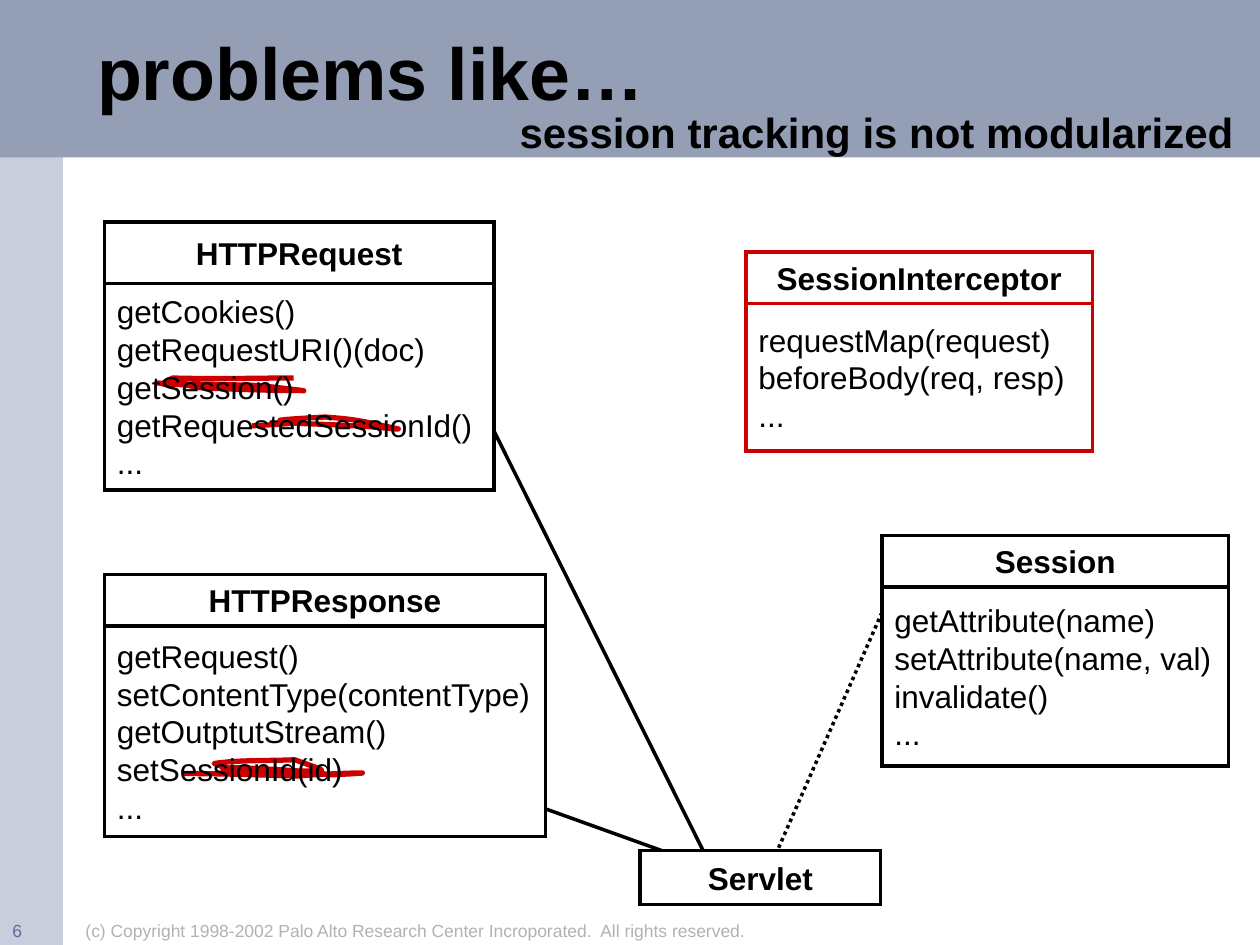
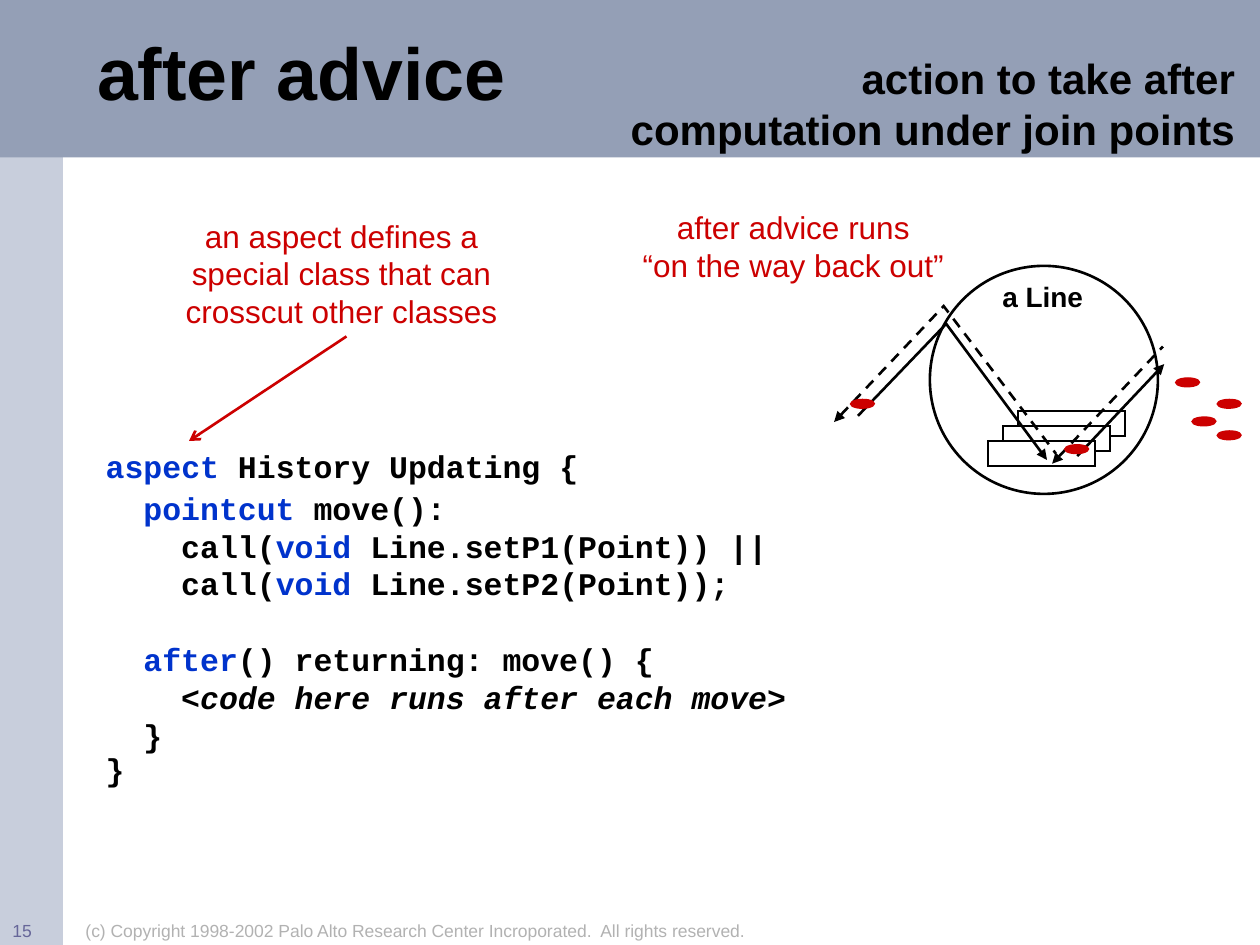
"""Build two slides on aspects: session tracking classes and after advice."""
from lxml import etree
from pptx import Presentation
from pptx.dml.color import RGBColor
from pptx.enum import dml, shapes, text
from pptx.oxml import ns
from pptx.util import Inches, Pt

COLORS = {"side": "C8CEDC", "top": "949FB6", "ink": "000000", "accent": "CC0000",
          "keyword": "0033CC", "paper": "FFFFFF", "footer": "B2B2B2", "number": "666699"}
LEFT, CENTER, RIGHT = text.PP_ALIGN.LEFT, text.PP_ALIGN.CENTER, text.PP_ALIGN.RIGHT
TOP, MIDDLE = text.MSO_ANCHOR.TOP, text.MSO_ANCHOR.MIDDLE
RECT, OVAL = shapes.MSO_SHAPE.RECTANGLE, shapes.MSO_SHAPE.OVAL
DASH, DOTS = dml.MSO_LINE.DASH, dml.MSO_LINE.ROUND_DOT

BANDS = [("side", (0, 0, 0.5, 7.5)), ("top", (0, 0, 10, 1.25))]
COPYRIGHT = "(c) Copyright 1998-2002 Palo Alto Research Center Incroporated.  All rights reserved."

# name, left, top, width, name height, members height, colour, members
CLASSES = [
    ("HTTPRequest", 0.83, 1.76, 3.09, 0.49, 1.64, "ink",
     ["getCookies()", "getRequestURI()(doc)", "getSession()\vgetRequestedSessionId()", "..."]),
    ("HTTPResponse", 0.83, 4.56, 3.5, 0.41, 1.67, "ink",
     ["getRequest()", "setContentType(contentType)",
      "getOutptutStream()\vsetSessionId(id)", "..."]),
    ("Servlet", 5.08, 6.75, 1.91, 0.43, 0, "ink", []),
    ("SessionInterceptor", 5.92, 2, 2.75, 0.41, 1.17, "accent",
     ["requestMap(request)", "beforeBody(req, resp)", "..."]),
    ("Session", 7, 4.25, 2.75, 0.41, 1.42, "ink",
     ["getAttribute(name)", "setAttribute(name, val)", "invalidate()", "..."]),
]
LINKS = [([(3.92, 3.42), (5.58, 6.75)], None),
         ([(7, 4.86), (6.17, 6.75)], DOTS),
         ([(4.33, 6.42), (5.25, 6.75)], None)]
# Each stroke: a start point, then three points per Bezier curve
STRIKES = [
    [(2, 3.38), (2.94, 3.33), (1.64, 3.36), (2.58, 3.31), (2.86, 3.33), (2.9, 3.35),
     (3.14, 3.4), (3.25, 3.42), (2.92, 3.38), (2.8, 3.38), (2.65, 3.37), (2.34, 3.36),
     (2.34, 3.36)],
    [(1.75, 6.12), (2.63, 6.1), (2.72, 6.17), (2.34, 6.03), (2.13, 6.04), (1.9, 6.03),
     (1.7, 6.06), (1.85, 6.12), (1.73, 6.08), (2.04, 6.1), (2.24, 6.11), (2.44, 6.12),
     (2.63, 6.15), (3.25, 6.12), (2.53, 6.14), (2.36, 6.16), (2.06, 6.15), (1.75, 6.14),
     (1.45, 6.14)],
    [(1.24, 3.04), (1.51, 3.05), (1.78, 3.05), (2.05, 3.06), (2.16, 3.07), (2.5, 3.11),
     (2.39, 3.1), (2.13, 3.1), (1.88, 3.09), (1.63, 3.08), (1.58, 3.08), (1.54, 3.07),
     (1.5, 3.06), (1.27, 3.03), (1.23, 3.08), (1.37, 3), (1.77, 3.01), (1.99, 3), (2.33, 3)],
]

# space before in points, then (text, style) spans
BODY_CODE = [
    (0, [("  pointcut", "keyword"), (" move():", "")]),
    (0, [("    call(", ""), ("void ", "keyword"), ("Line.setP1(Point)) ||", "")]),
    (0, [("    call(", ""), ("void ", "keyword"), ("Line.setP2(Point));", "")]),
    (21.6, [("  ", ""), ("after", "keyword"), ("() returning: move() {", "")]),
    (0, [("    ", ""), ("<code here runs after each move>", "italic")]),
    (0, [("  }", "")]),
]
ASPECT_CODE = [
    (0, [("aspect", "keyword"), (" History Updating {", "")]),
    (151.2, [("}", "")]),
]
# points, dash, arrow end
TRAILS = [([(6.62, 3.35), (7.49, 2.43), (8.38, 3.6)], DASH, "headEnd"),
          ([(6.81, 3.3), (7.51, 2.57), (8.31, 3.65)], None, "tailEnd"),
          ([(8.35, 3.68), (9.23, 2.75)], DASH, "headEnd"),
          ([(8.55, 3.62), (9.24, 2.89)], None, "tailEnd")]
DOTS_AT = [(6.81, 3.11), (8.51, 3.47), (9.52, 3.25), (9.72, 3.36), (9.39, 2.94), (9.72, 3.11)]


def rgb(name):
    return RGBColor.from_string(COLORS[name])


def style_para(para, size, color="ink", bold=False, align=LEFT, font="Arial"):
    para.alignment = align
    para.font.name, para.font.size, para.font.bold = font, Pt(size), bold
    para.font.color.rgb = rgb(color)


def write(frame, lines, size, wrap=True, anchor=TOP, **style):
    frame.word_wrap, frame.vertical_anchor = wrap, anchor
    frame.text = "\n".join(lines)
    for para in frame.paragraphs:
        style_para(para, size, **style)


def add_text(page, place, words, size, **style):
    box = page.shapes.add_textbox(*map(Inches, place))
    write(box.text_frame, [words], size, **style)


def add_to_line(shape, tag, **attributes):
    etree.SubElement(shape.element.spPr.find(ns.qn("a:ln")), ns.qn(tag), **attributes)


def add_box(page, kind, place, fill=None, line=None, width=1.0):
    box = page.shapes.add_shape(kind, *map(Inches, place))
    box.shadow.inherit = False
    if fill:
        box.fill.solid()
        box.fill.fore_color.rgb = rgb(fill)
    else:
        box.fill.background()
    if line:
        box.line.color.rgb, box.line.width = rgb(line), Pt(width)
        add_to_line(box, "a:miter", lim="800000")
    else:
        box.line.fill.background()
    return box


def add_path(page, points, width, color="ink", dash=None, arrow=None, end="tailEnd"):
    points = [(Inches(x), Inches(y)) for x, y in points]
    if len(points) == 2:
        path = page.shapes.add_connector(shapes.MSO_CONNECTOR.STRAIGHT, *points[0], *points[1])
    else:
        builder = page.shapes.build_freeform(*points[0])
        builder.add_line_segments(points[1:], close=False)
        path = builder.convert_to_shape()
        path.fill.background()
    path.line.color.rgb, path.line.width = rgb(color), Pt(width)
    if dash:
        path.line.dash_style = dash
    if arrow:
        add_to_line(path, "a:miter", lim="800000")
        add_to_line(path, "a:" + end, type=arrow)
    etree.SubElement(path.element.spPr, ns.qn("a:effectLst"))
    return path


def add_stroke(page, points):
    """Draw a path and turn every three of its segments into one Bezier curve."""
    stroke = add_path(page, points, 3, "accent")
    outline = next(stroke.element.iter(ns.qn("a:path")))
    segments = outline.findall(ns.qn("a:lnTo"))
    for i in range(0, len(segments), 3):
        bend = etree.SubElement(outline, ns.qn("a:cubicBezTo"))
        for segment in segments[i:i + 3]:
            bend.append(segment[0])
            outline.remove(segment)


def add_page(deck, title, subtitle, subtitle_place):
    page = deck.slides.add_slide(deck.slide_layouts[5])
    heading = page.shapes.title
    heading.left, heading.top, heading.width, heading.height = map(Inches, (0.67, 0.09, 8.83, 1.05))
    write(heading.text_frame, [title], 42, bold=True, anchor=MIDDLE)
    heading.text_frame.auto_size = text.MSO_AUTO_SIZE.NONE
    heading.text_frame.paragraphs[0].line_spacing = 0.85
    add_text(page, subtitle_place, subtitle, 24, bold=True, align=RIGHT)
    return page


def add_footer(page, number):
    add_text(page, (0.58, 7.25, 5.58, 0.25), COPYRIGHT, 10, color="footer")
    add_text(page, (0, 7.25, 0.5, 0.25), str(number), 10, color="number")


def move_bands_to_master(deck, page):
    for position, (fill, place) in enumerate(BANDS, start=2):
        band = add_box(page, RECT, place, fill)
        deck.slide_master.shapes.element.insert(position, band.element)


def add_class(page, name, left, top, width, name_height, members_height, color, members):
    head = add_box(page, RECT, (left, top, width, name_height), line=color, width=2)
    write(head.text_frame, [name], 18, wrap=False, anchor=MIDDLE, bold=True, align=CENTER)
    if members:
        body = add_box(page, RECT, (left, top + name_height, width, members_height),
                       line=color, width=2)
        write(body.text_frame, members, 18, wrap=False, anchor=MIDDLE)


def add_code(page, place, code):
    frame = page.shapes.add_textbox(*map(Inches, place)).text_frame
    frame.word_wrap = False
    for i, (gap, spans) in enumerate(code):
        para = frame.add_paragraph() if i else frame.paragraphs[0]
        style_para(para, 18, bold=True, font="Courier New")
        if gap:
            para.space_before = Pt(gap)
        for words, style in spans:
            span = para.add_run()
            span.text = words
            if style == "keyword":
                span.font.color.rgb = rgb("keyword")
            elif style == "italic":
                span.font.italic = True


def build_session_page(deck):
    page = add_page(deck, "problems like…", "session tracking is not modularized",
                    (3.83, 0.8, 6.06, 0.5))
    move_bands_to_master(deck, page)
    for points in STRIKES:
        add_stroke(page, points)
    for entry in CLASSES:
        add_class(page, *entry)
    for points, dash in LINKS:
        add_path(page, points, 2, dash=dash)
    add_footer(page, 6)


def build_advice_page(deck):
    page = add_page(deck, "after advice", "action to take after\vcomputation under join points",
                    (3.42, 0.37, 6.48, 0.9))
    add_code(page, (0.74, 3.83, 5.6, 2.5), BODY_CODE)
    for i in range(3):
        add_box(page, RECT, (8.08 - 0.12 * i, 3.26 + 0.12 * i, 0.85, 0.2), "paper", "ink")
    add_box(page, OVAL, (7.38, 2.11, 1.81, 1.81), line="ink", width=1.5)
    add_text(page, (7.78, 2.17, 0.99, 0.37), "a Line", 16, bold=True, align=CENTER)
    for points, dash, end in TRAILS:
        add_path(page, points, 1.5, dash=dash, arrow="triangle", end=end)
    for left, top in DOTS_AT:
        dot = add_box(page, OVAL, (left, top, 0.07, 0.19), "accent", "accent", 0.75)
        dot.rotation = 89.3
    add_text(page, (5, 1.6, 2.59, 0.7), "after advice runs\v“on the way back out”", 18,
             wrap=False, color="accent", align=CENTER)
    add_path(page, [(2.75, 2.67), (1.5, 3.5)], 1.5, "accent", arrow="arrow")
    add_text(page, (1.25, 1.67, 2.92, 1),
             "an aspect defines a special class that can crosscut other classes", 18,
             color="accent", align=CENTER)
    add_code(page, (0.74, 3.5, 3.95, 2.8), ASPECT_CODE)
    add_footer(page, 15)


def main():
    deck = Presentation()
    deck.slide_width, deck.slide_height = Inches(10), Inches(7.5)
    build_session_page(deck)
    build_advice_page(deck)
    deck.save("out.pptx")


if __name__ == "__main__":
    main()
